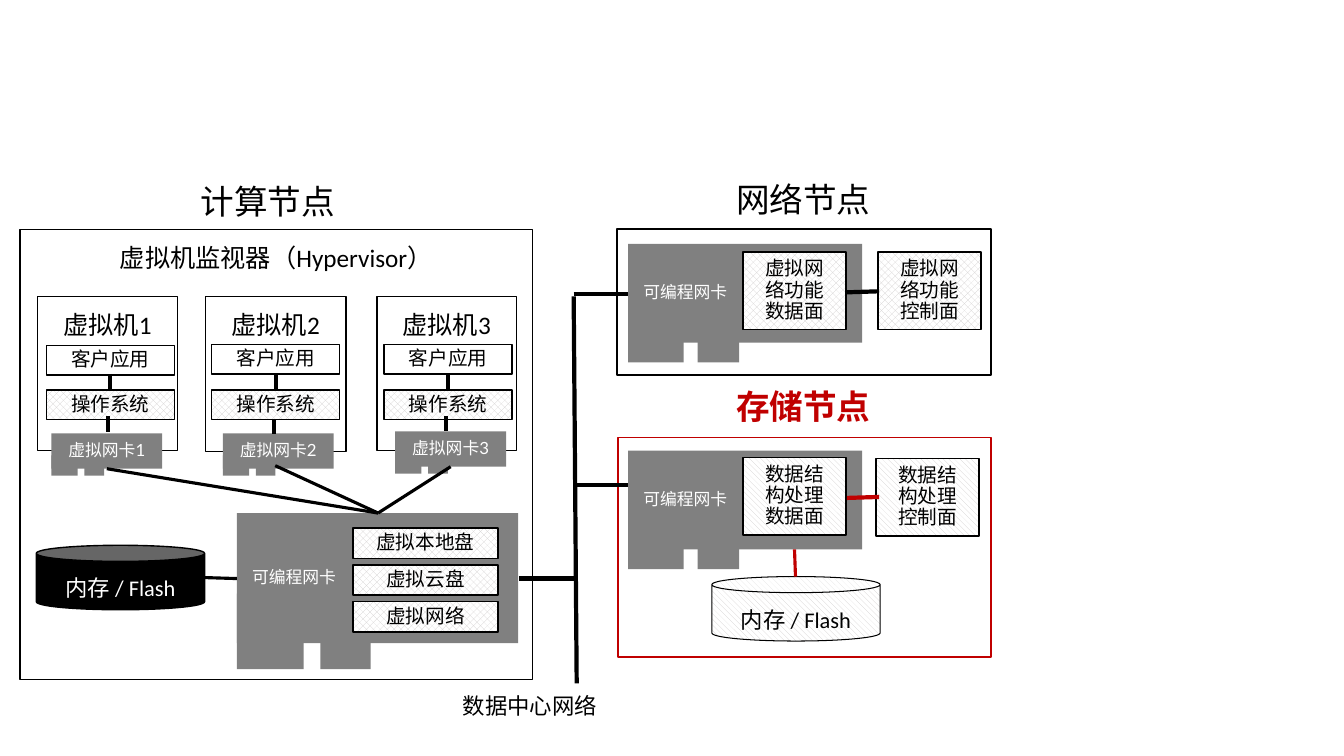
from dataclasses import dataclass

from lxml import etree
from pptx import Presentation
from pptx.dml.color import RGBColor
from pptx.enum.dml import MSO_PATTERN
from pptx.enum.shapes import MSO_CONNECTOR, MSO_SHAPE
from pptx.enum.text import MSO_ANCHOR, MSO_AUTO_SIZE, PP_ALIGN
from pptx.oxml.ns import qn
from pptx.util import Inches, Pt

RECTANGLE, CAN = MSO_SHAPE.RECTANGLE, MSO_SHAPE.CAN
CROSSED, STRIPED = MSO_PATTERN.PERCENT_50, MSO_PATTERN.WIDE_DOWNWARD_DIAGONAL
TOP, MIDDLE = MSO_ANCHOR.TOP, MSO_ANCHOR.MIDDLE
LEFT, CENTER = PP_ALIGN.LEFT, PP_ALIGN.CENTER
STRAIGHT = MSO_CONNECTOR.STRAIGHT

COLORS = {"black": "000000", "white": "FFFFFF", "card": "808080",
          "hatch": "D0CECE", "accent": "C00000"}
CARD_TEXT = "可编程网卡"


@dataclass
class Area:
    left: float
    top: float
    width: float
    height: float

    def lengths(self):
        return [Inches(value) for value in (self.left, self.top, self.width, self.height)]


@dataclass
class Machine:
    number: int
    box: Area
    app_left: float
    app_top: float
    card_left: float
    card_top: float
    card_link: tuple[float, float]  # top and bottom of the line to the card
    uplink: tuple[float, float]


@dataclass
class Node:
    frame: Area
    frame_color: str
    title: str
    title_top: float
    card_top: float
    function: str
    pattern: MSO_PATTERN
    data_top: float
    control_left: float
    control_top: float


MACHINES = [
    Machine(1, Area(0.37, 2.94, 1.39, 1.53), 0.46, 3.43, 0.51, 4.3, (4.13, 4.29), (1.06, 4.65)),
    Machine(2, Area(2.04, 2.94, 1.39, 1.54), 2.1, 3.42, 2.21, 4.3, (4.16, 4.31), (2.73, 4.62)),
    Machine(3, Area(3.74, 2.94, 1.38, 1.53), 3.81, 3.42, 3.92, 4.28, (4.13, 4.28), (4.47, 4.63)),
]
NODES = [
    Node(Area(6.12, 2.27, 3.71, 1.45), "black", "网络节点", 1.66, 2.42,
         "虚拟网络功能", CROSSED, 2.5, 8.71, 2.5),
    Node(Area(6.13, 4.34, 3.7, 2.18), "accent", "存储节点", 3.71, 4.47,
         "数据结构处理", STRIPED, 4.54, 8.69, 4.55),
]

presentation = Presentation()
presentation.slide_width, presentation.slide_height = Inches(13.33), Inches(7.5)
slide = presentation.slides.add_slide(presentation.slide_layouts[6])


def color(name: str) -> RGBColor:
    return RGBColor.from_string(COLORS[name])


def write_text(shape, text: str, *, size: float = 14, font: str = "Calibri",
               ink: str = "black", bold: bool = False, align=CENTER, anchor=MIDDLE,
               wrap: bool = True, side: float = 0.2, edge: float = 0.16, after: float = 0):
    frame = shape.text_frame
    frame.word_wrap = wrap
    frame.vertical_anchor = anchor
    frame.margin_left = frame.margin_right = Inches(side)
    frame.margin_top = frame.margin_bottom = Inches(edge)
    paragraph = frame.paragraphs[0]
    paragraph.text = text
    paragraph.alignment = align
    paragraph.line_spacing = 0.9
    paragraph.space_after = Pt(after)
    paragraph.font.name = font
    paragraph.font.size = Pt(size)
    paragraph.font.bold = bold
    paragraph.font.color.rgb = color(ink)


def add_box(area: Area, text: str = "", *, kind=RECTANGLE, fill: str = "white", pattern=None,
            line: str | None = "black", weight: float = 1, shapes=slide.shapes, **text_format):
    shape = shapes.add_shape(kind, *area.lengths())
    shape.shadow.inherit = False
    if pattern is None:
        shape.fill.solid()
        shape.fill.fore_color.rgb = color(fill)
    else:
        shape.fill.patterned()
        shape.fill.pattern = pattern
        shape.fill.fore_color.rgb = color("hatch")
        shape.fill.back_color.rgb = color("white")
    if line is None:
        shape.line.fill.background()
    else:
        shape.line.color.rgb = color(line)
        shape.line.width = Pt(weight)
    if text:
        write_text(shape, text, **text_format)


def add_label(left: float, top: float, height: float, text: str, **text_format):
    label = slide.shapes.add_textbox(*Area(left, top, 1.75, height).lengths())
    write_text(label, text, align=LEFT, anchor=TOP, wrap=False, after=6, **text_format)
    label.text_frame.auto_size = MSO_AUTO_SIZE.SHAPE_TO_FIT_TEXT


def add_line(x1: float, y1: float, x2: float, y2: float, *,
             weight: float = 3, ink: str = "black"):
    line = slide.shapes.add_connector(STRAIGHT, *[Inches(value) for value in (x1, y1, x2, y2)])
    line.line.color.rgb = color(ink)
    line.line.width = Pt(weight)
    etree.SubElement(line._element.spPr, qn("a:effectLst"))


def add_card(area: Area, text: str, align=LEFT):
    """A network card: a body with two connector feet under it."""
    shapes = slide.shapes.add_group_shape().shapes
    for offset, width, drop in ((0, 0.237, 0.62), (0.297, 0.178, 0.6)):
        foot = Area(area.left + offset * area.width, area.top + drop * area.height,
                    width * area.width, (1.2 - drop) * area.height)
        add_box(foot, fill="card", line=None, shapes=shapes)
    add_box(area, text, fill="card", line=None, shapes=shapes, size=12, font="Lato",
            ink="white", align=align, side=0.15, edge=0.12)


# Compute node: frame, main card and its virtual devices
add_box(Area(0.2, 2.28, 5.08, 4.46), "虚拟机监视器（Hypervisor）", size=18, anchor=TOP)
add_label(1.79, 1.68, 0.69, "计算节点", size=24)
add_card(Area(2.35, 5.09, 2.79, 1.29), CARD_TEXT)
for index, device in enumerate(("虚拟本地盘", "虚拟云盘", "虚拟网络")):
    add_box(Area(3.5, 5.24 + 0.365 * index, 1.44, 0.3), device, pattern=CROSSED)

# Virtual machines, each with its software stack and virtual card
for machine in MACHINES:
    add_box(machine.box, f"虚拟机{machine.number}", size=18, anchor=TOP)
    add_card(Area(machine.card_left, machine.card_top, 1.1, 0.35),
             f"虚拟网卡{machine.number}", align=CENTER)
    add_line(*machine.uplink, 3.75, 5.09, weight=2.25)
    add_box(Area(machine.app_left, machine.app_top, 1.27, 0.29), "客户应用")
    add_box(Area(machine.app_left, 3.87, 1.27, 0.29), "操作系统", pattern=CROSSED)
    center = machine.app_left + 0.635
    add_line(center, 3.71, center, 3.87)
    add_line(center - 0.02, machine.card_link[0], center - 0.02, machine.card_link[1])

# Local memory
add_line(2.03, 5.73, 2.35, 5.74, weight=2.25)
add_box(Area(0.36, 5.41, 1.67, 0.64), "内存 / Flash", kind=CAN, fill="black",
        size=16, ink="white", anchor=TOP)

# Network and storage nodes
for node in NODES:
    highlighted = node.frame_color == "accent"
    add_box(node.frame, line=node.frame_color)
    add_label(7.1, node.title_top, 0.69, node.title, size=24,
              ink=node.frame_color, bold=highlighted)
    add_card(Area(6.23, node.card_top, 2.32, 0.98), CARD_TEXT)
    add_box(Area(7.37, node.data_top, 1.02, 0.77), node.function + "数据面",
            pattern=node.pattern)
    add_box(Area(node.control_left, node.control_top, 1.02, 0.77), node.function + "控制面",
            pattern=node.pattern)
    add_line(8.4, node.data_top + 0.4, 8.72, node.data_top + 0.39, ink=node.frame_color)

# Storage memory
add_box(Area(7.06, 5.72, 1.67, 0.64), "内存 / Flash", kind=CAN, pattern=STRIPED,
        weight=0.75, size=16, anchor=TOP)
add_line(7.88, 5.45, 7.89, 5.72, weight=2.25, ink="accent")

# Data centre network: trunk and branches
add_line(5.69, 2.94, 5.72, 6.78)
add_line(5.69, 2.92, 6.23, 2.92)
add_line(5.72, 4.81, 6.23, 4.81)
add_line(5.15, 5.74, 5.7, 5.74)
add_label(4.39, 6.78, 0.57, "数据中心网络", size=16)

presentation.save("out.pptx")
